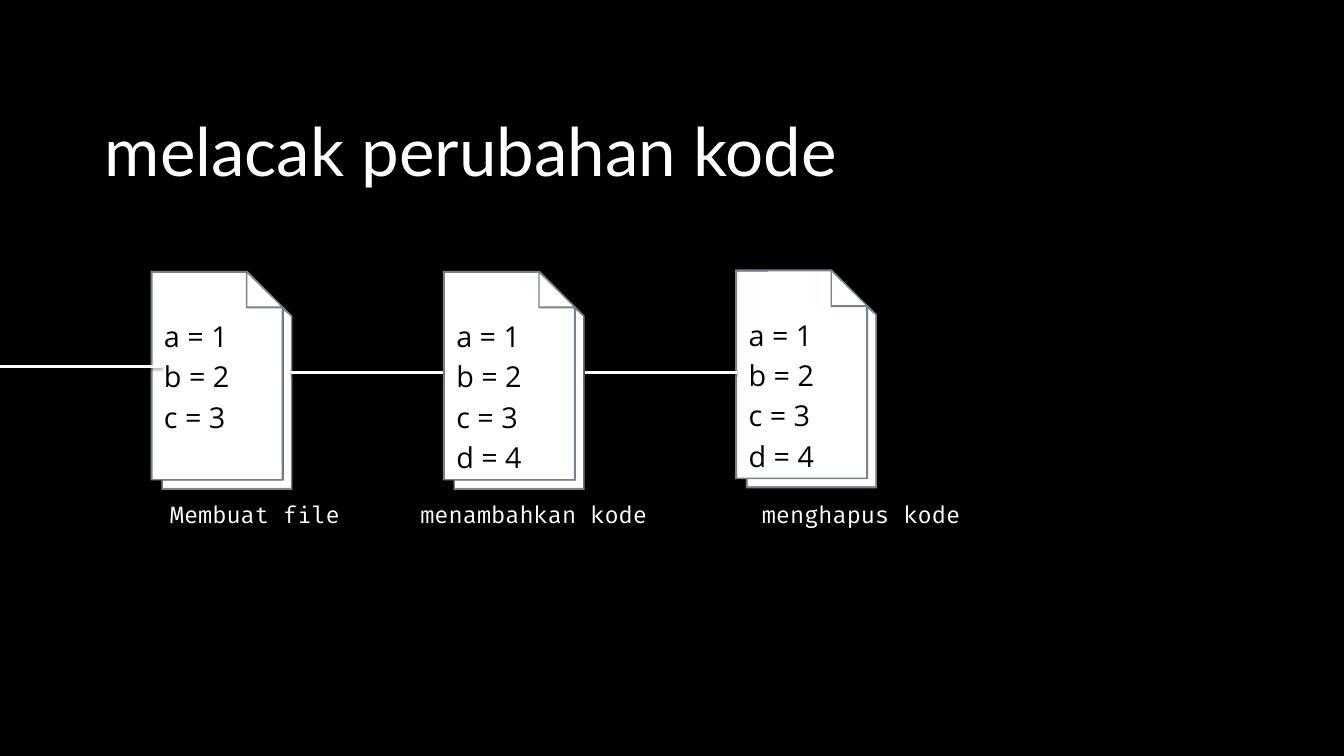
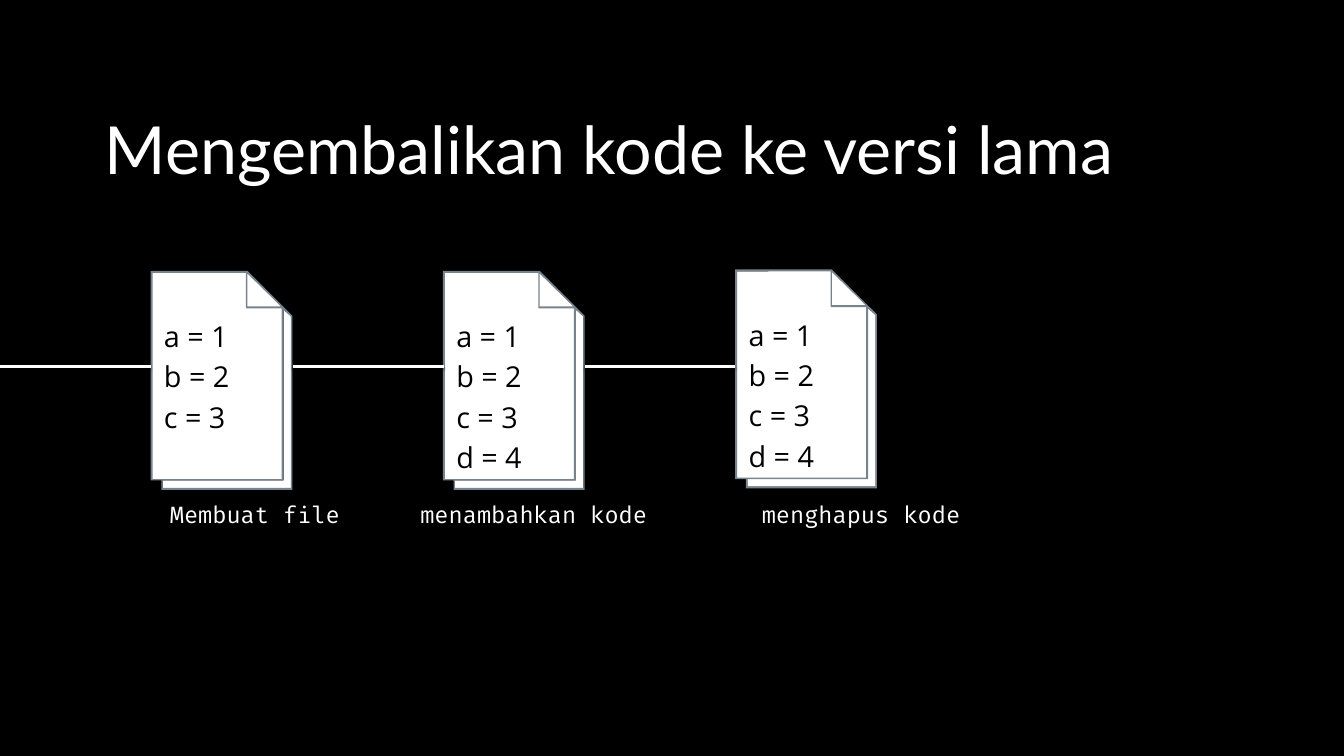
from dataclasses import dataclass

from lxml import etree
from pptx import Presentation
from pptx.dml.color import RGBColor
from pptx.enum.shapes import MSO_CONNECTOR
from pptx.enum.text import MSO_ANCHOR, MSO_AUTO_SIZE, PP_ALIGN
from pptx.oxml.ns import qn
from pptx.util import Inches, Pt

STRAIGHT = MSO_CONNECTOR.STRAIGHT
TOP = MSO_ANCHOR.TOP
GROW = MSO_AUTO_SIZE.SHAPE_TO_FIT_TEXT
LEFT, CENTER = PP_ALIGN.LEFT, PP_ALIGN.CENTER

COLS, ROWS = 20, 11.25
TITLE_ONLY = 5


@dataclass(frozen=True)
class Theme:
    ground: str = "000000"
    light: str = "FFFFFF"
    code_ink: str = "000000"
    edge: str = "77838D"
    shadow: str = "000000"
    title_font: str = "Lato"
    code_font: str = "Open Sans"
    label_font: str = "Fira Code"
    code_size: float = 30.8
    label_size: float = 24.7
    line_width: float = 3
    leading: float = 1.4


# Page outlines, in hundredths of a column from the page's top left corner
BACK_SHEET = [(18, 312), (18, 323), (209, 323), (209, 68), (198, 58), (198, 312)]
FRONT_SHEET = [(143, 2), (2, 3), (2, 310), (196, 310), (197, 55)]
EDGES = [
    [(198, 54), (144, 0), (0, 0), (0, 312), (16, 312), (16, 326), (211, 326), (211, 67)],
    [(144, 4), (194, 53), (144, 53)],
    [(3, 310), (3, 3), (142, 3), (142, 55), (143, 56), (195, 56), (195, 310)],
    BACK_SHEET,
]

# Page position, code and label box (left, width) of each version
FIRST_PAGE, PAGE_STEP = 2.24, 4.35
CODE = ["a = 1", "b = 2", "c = 3", "d = 4"]
VERSIONS = [
    (4.03, CODE[:3], "Membuat file", 2.24, 3.11),
    (4.03, CODE, "menambahkan kode", 6.07, 3.75),
    (4.01, CODE, "menghapus kode", 10.94, 3.75),
]

# Title, its size and top, and the track lines as (start, end, height)
SLIDES = [
    ("melacak perubahan kode", 72, 1.43,
     [(0, 2.42, 5.46), (4.33, 6.59, 5.54), (8.7, 10.97, 5.54)]),
    ("Mengembalikan kode ke versi lama", 71, 1.42,
     [(0, 2.24, 5.46), (4.36, 6.61, 5.46), (8.7, 10.94, 5.46)]),
]


def rgb(code):
    return RGBColor.from_string(code)


class Deck:
    def __init__(self, theme):
        self.theme = theme
        self.prs = prs = Presentation()
        prs.slide_width, prs.slide_height = Inches(COLS), Inches(ROWS)
        self.unit = prs.slide_width / COLS
        fill = prs.slide_master.background.fill
        fill.solid()
        fill.fore_color.rgb = rgb(theme.ground)
        self.s = None

    def at(self, *cells):
        """Turn columns or rows into slide lengths."""
        return [round(c * self.unit) for c in cells]

    def set_text(self, sp, lines, font, size, color, align=LEFT):
        tf = sp.text_frame
        tf.word_wrap, tf.auto_size, tf.vertical_anchor = True, GROW, TOP
        tf.margin_left = tf.margin_top = tf.margin_right = tf.margin_bottom = 0
        for i, line in enumerate(lines):
            p = tf.add_paragraph() if i else tf.paragraphs[0]
            p.text = line
            p.alignment = align
            p.line_spacing = Pt(size * self.theme.leading)
            p.space_before = p.space_after = Pt(0)
            p.font.name, p.font.size = font, Pt(size)
            p.font.color.rgb = rgb(color)

    def slide(self, title, size, top):
        self.s = self.prs.slides.add_slide(self.prs.slide_layouts[TITLE_ONLY])
        sp = self.s.shapes.title
        sp.left, sp.top, sp.width, sp.height = self.at(1.56, top, 16.88, 1.33)
        self.set_text(sp, [title], self.theme.title_font, size, self.theme.light)

    def text(self, box, lines, *style):
        self.set_text(self.s.shapes.add_textbox(*self.at(*box)), lines, *style)

    def outline(self, shapes, x, y, contours, color):
        """Draw closed contours as one filled shape."""
        fb = None
        for start, *rest in contours:
            if fb is None:
                fb = shapes.build_freeform(*start, scale=self.unit / 100)
            else:
                fb.move_to(*start)
            fb.add_line_segments(rest, close=True)
        sp = fb.convert_to_shape(*self.at(x, y))
        sp.shadow.inherit = False
        sp.fill.solid()
        sp.fill.fore_color.rgb = rgb(color)
        sp.line.fill.background()

    def page(self, x, y, code):
        t = self.theme
        shapes = self.s.shapes.add_group_shape().shapes
        self.outline(shapes, x, y, [BACK_SHEET], t.light)
        self.outline(shapes, x, y, [FRONT_SHEET], t.light)
        self.outline(shapes, x, y, EDGES, t.edge)
        box = (x + 0.2, y + 0.63, 1.91, 0.59 * len(code))
        self.text(box, code, t.code_font, t.code_size, t.code_ink)

    def label(self, x, width, words):
        t = self.theme
        self.text((x, 7.38, width, 0.46), [words],
                  t.label_font, t.label_size, t.light, CENTER)

    def track(self, start, end, y):
        t = self.theme
        line = self.s.shapes.add_connector(STRAIGHT, *self.at(start, y, end, y))
        line.line.color.rgb = rgb(t.light)
        line.line.width = Pt(t.line_width)
        effects = etree.SubElement(line._element.spPr, qn("a:effectLst"))
        shadow = etree.SubElement(
            effects, qn("a:outerShdw"), blurRad=str(Pt(3.1)), dist=str(Pt(1.8)),
            dir="5400000", rotWithShape="0")
        color = etree.SubElement(shadow, qn("a:srgbClr"), val=t.shadow)
        etree.SubElement(color, qn("a:alpha"), val="35000")


def main():
    deck = Deck(Theme())
    for title, size, top, tracks in SLIDES:
        deck.slide(title, size, top)
        for i, (y, code, words, label_x, label_width) in enumerate(VERSIONS):
            deck.page(FIRST_PAGE + i * PAGE_STEP, y, code)
            deck.label(label_x, label_width, words)
        for track in tracks:
            deck.track(*track)
    deck.prs.save("out.pptx")


if __name__ == "__main__":
    main()
